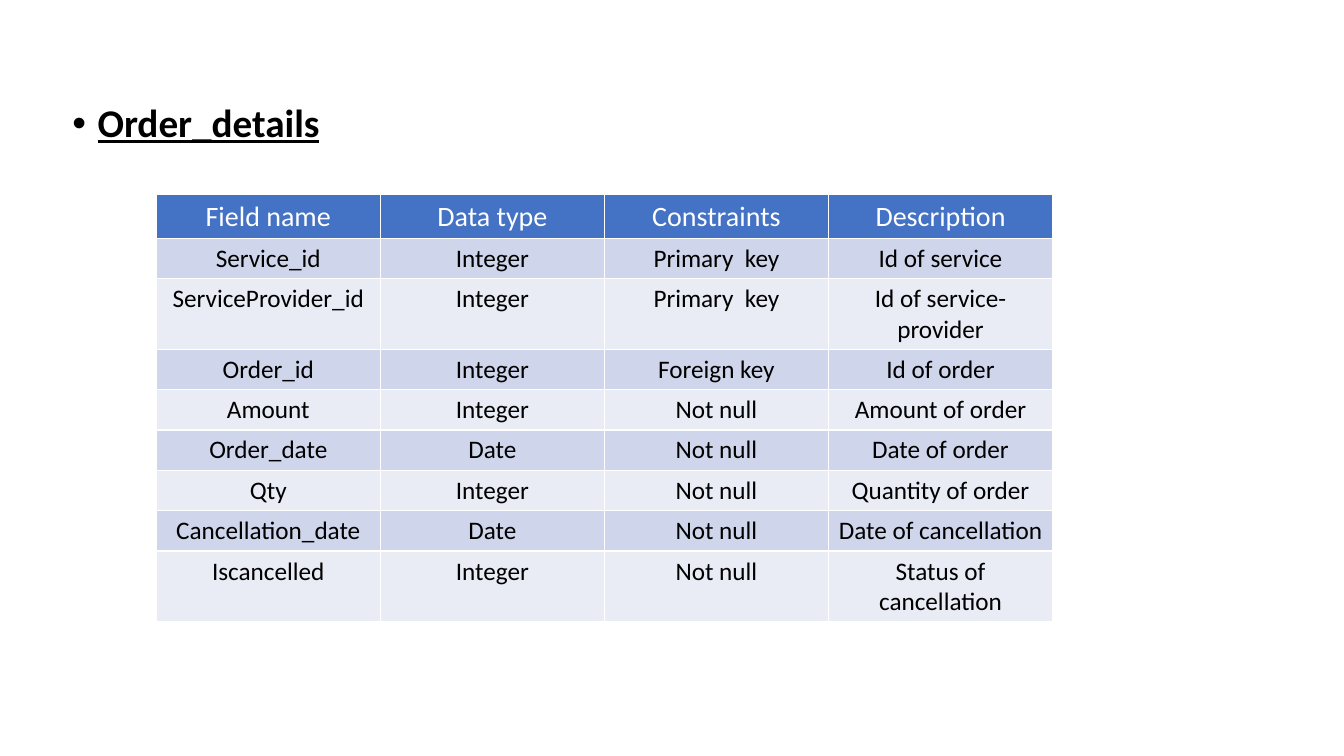
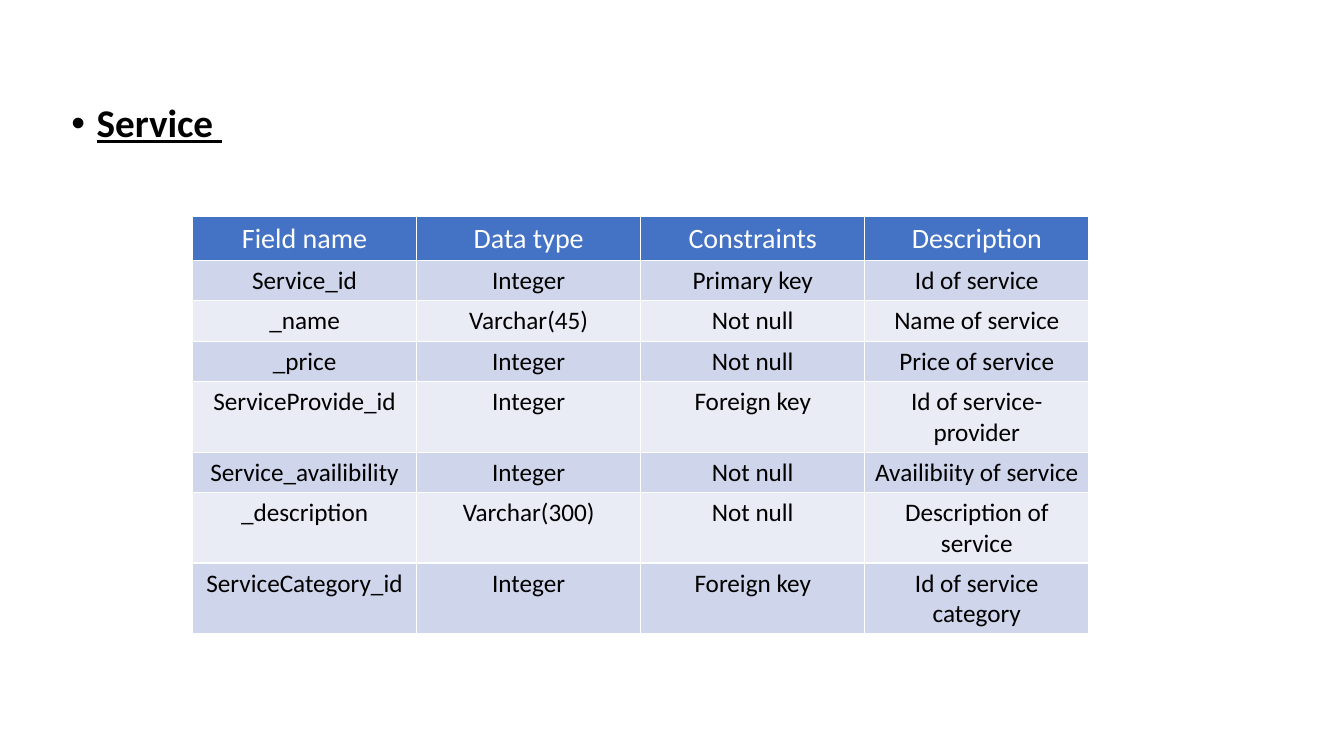
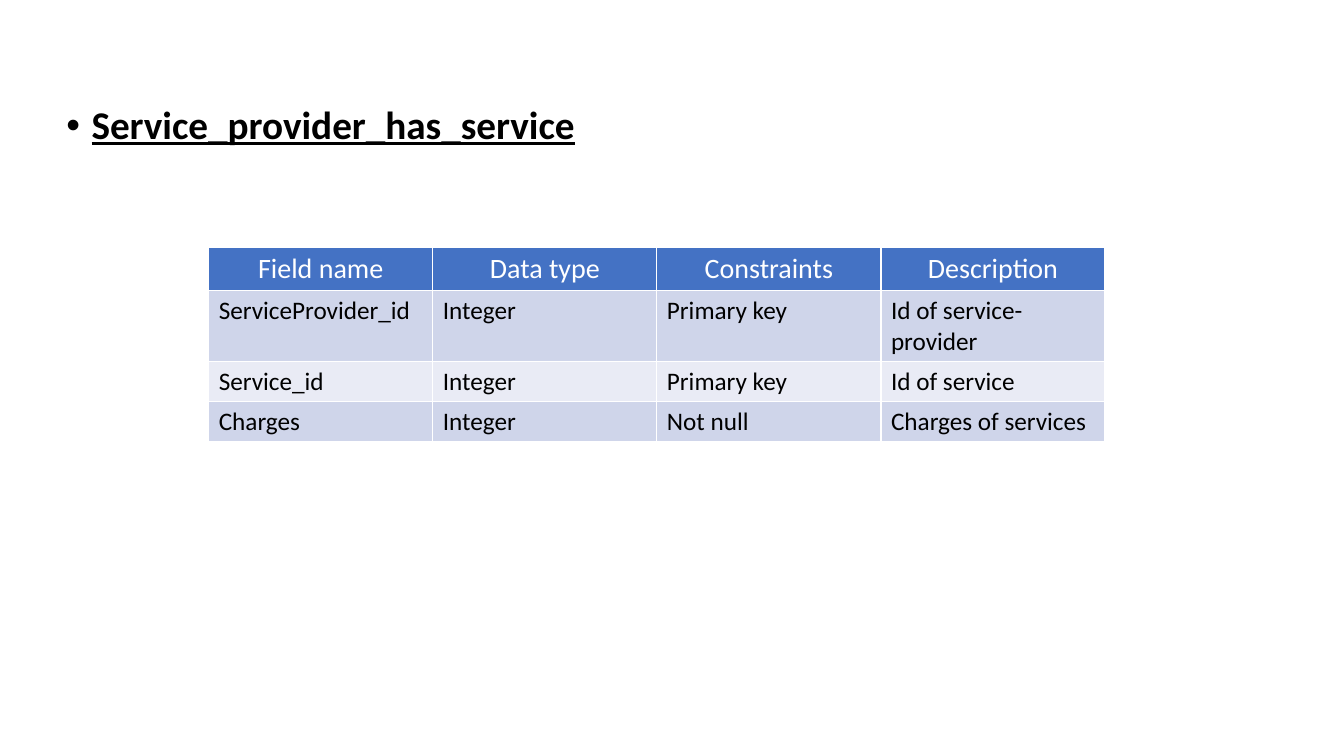
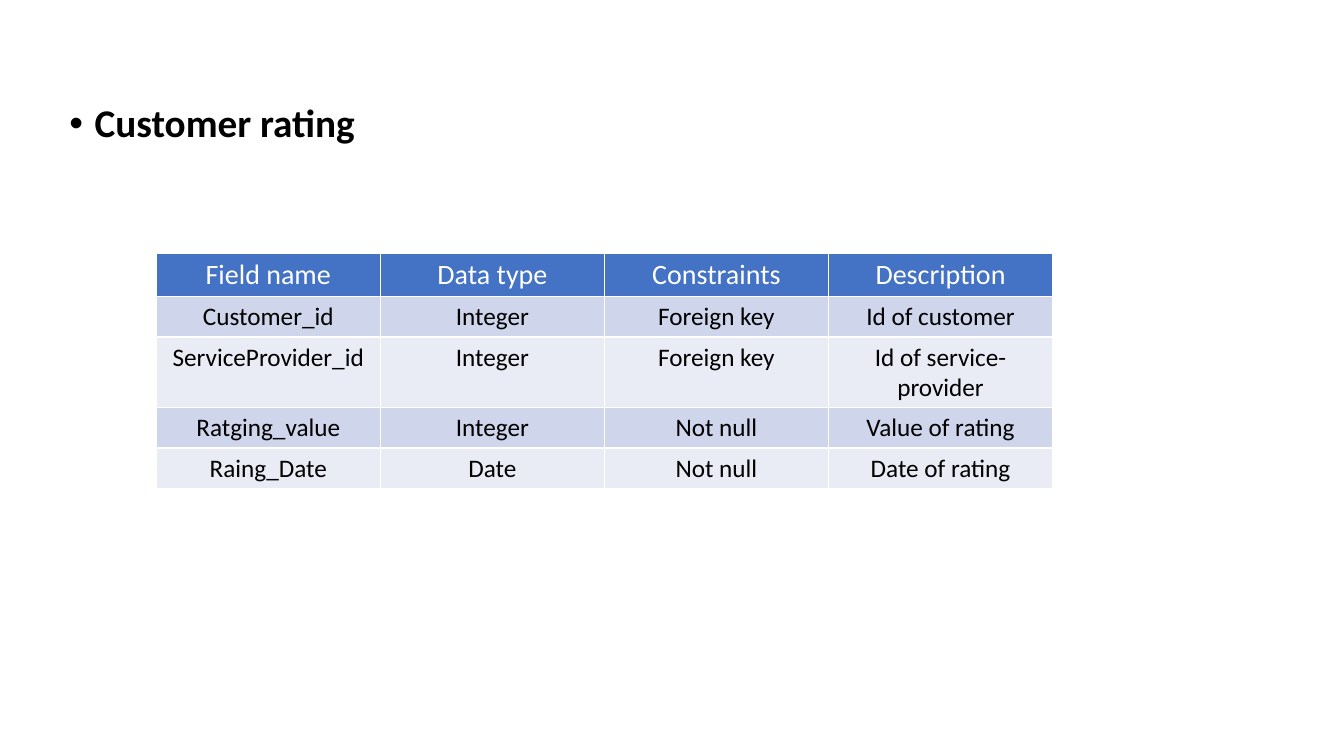
"""Build four data dictionary slides, each with a bulleted heading and a field table."""
from lxml import etree
from pptx import Presentation
from pptx.dml.color import RGBColor
from pptx.enum import text
from pptx.oxml.ns import qn
from pptx.util import Inches, Pt

FONT = "Calibri"
BLACK = RGBColor(0x00, 0x00, 0x00)
WHITE = RGBColor(0xFF, 0xFF, 0xFF)
HEADER_BLUE = RGBColor(0x44, 0x72, 0xC4)
BANDS = (RGBColor(0xCF, 0xD5, 0xEA), RGBColor(0xE9, 0xEB, 0xF5))

CENTER, LEFT = text.PP_ALIGN.CENTER, text.PP_ALIGN.LEFT
HEADING_SIZE = (Inches(11.5), Inches(0.6))
BULLET_INDENT = Inches(0.25)
COLUMN_WIDTH = Inches(8.89 / 4)
ROW_HEIGHT = Inches(0.4)
GRID_WIDTH = Pt(1)

COLUMNS = ("Field name", "Data type", "Constraints", "Description")

ENTITIES = [
    {
        "heading": "Order_details", "heading_at": (0.62, 0.98), "underline": True,
        "table_at": (1.55, 1.93), "align": CENTER,
        "fields": [
            ("Service_id", "Integer", "Primary  key", "Id of service"),
            ("ServiceProvider_id", "Integer", "Primary  key", "Id of service-provider"),
            ("Order_id", "Integer", "Foreign key", "Id of order"),
            ("Amount", "Integer", "Not null", "Amount of order"),
            ("Order_date", "Date", "Not null", "Date of order"),
            ("Qty", "Integer", "Not null", "Quantity of order"),
            ("Cancellation_date", "Date", "Not null", "Date of cancellation"),
            ("Iscancelled", "Integer", "Not null", "Status of cancellation"),
        ],
    },
    {
        "heading": "Service ", "heading_at": (0.61, 0.98), "underline": True,
        "table_at": (1.91, 2.15), "align": CENTER,
        "fields": [
            ("Service_id", "Integer", "Primary key", "Id of service"),
            ("_name", "Varchar(45)", "Not null", "Name of service"),
            ("_price", "Integer", "Not null", "Price of service"),
            ("ServiceProvide_id", "Integer", "Foreign key", "Id of service-provider"),
            ("Service_availibility", "Integer", "Not null", "Availibiity of service"),
            ("_description", "Varchar(300)", "Not null", "Description of service"),
            ("ServiceCategory_id", "Integer", "Foreign key", "Id of service category"),
        ],
    },
    {
        "heading": "Service_provider_has_service", "heading_at": (0.56, 1), "underline": True,
        "table_at": (2.07, 2.45), "align": LEFT,
        "fields": [
            ("ServiceProvider_id", "Integer", "Primary key", "Id of service-provider"),
            ("Service_id", "Integer", "Primary key", "Id of service"),
            ("Charges", "Integer", "Not null", "Charges of services"),
        ],
    },
    {
        "heading": "Customer rating", "heading_at": (0.59, 0.98), "underline": False,
        "table_at": (1.55, 2.51), "align": CENTER,
        "fields": [
            ("Customer_id", "Integer", "Foreign key", "Id of customer"),
            ("ServiceProvider_id", "Integer", "Foreign key", "Id of service-provider"),
            ("Ratging_value", "Integer", "Not null", "Value of rating"),
            ("Raing_Date", "Date", "Not null", "Date of rating"),
        ],
    },
]


def style_runs(paragraph, size, color, bold=False, underline=False):
    for run in paragraph.runs:
        run.font.name = FONT
        run.font.size = Pt(size)
        run.font.color.rgb = color
        run.font.bold = bold
        run.font.underline = underline


def add_heading(slide, entity):
    left, top = map(Inches, entity["heading_at"])
    frame = slide.shapes.add_textbox(left, top, *HEADING_SIZE).text_frame
    frame.word_wrap = True
    heading = frame.paragraphs[0]
    heading.text = entity["heading"]
    heading.line_spacing = 0.9
    properties = heading._p.get_or_add_pPr()
    properties.set("marL", str(BULLET_INDENT))
    properties.set("indent", str(-BULLET_INDENT))
    etree.SubElement(properties, qn("a:buFont"), typeface="Arial")
    etree.SubElement(properties, qn("a:buChar"), char="•")
    style_runs(heading, 28, BLACK, bold=True, underline=entity["underline"])


def add_grid_lines(cell):
    properties = cell._tc.get_or_add_tcPr()
    for side in ("a:lnL", "a:lnR", "a:lnT", "a:lnB"):
        line = etree.SubElement(properties, qn(side), w=str(GRID_WIDTH))
        fill = etree.SubElement(line, qn("a:solidFill"))
        etree.SubElement(fill, qn("a:srgbClr"), val=str(WHITE))


def fill_cell(cell, words, align, size, color, background):
    add_grid_lines(cell)
    cell.fill.solid()
    cell.fill.fore_color.rgb = background
    cell.text_frame.text = words
    paragraph = cell.text_frame.paragraphs[0]
    paragraph.alignment = align
    style_runs(paragraph, size, color)


def add_field_table(slide, entity):
    rows = [COLUMNS, *entity["fields"]]
    left, top = map(Inches, entity["table_at"])
    table = slide.shapes.add_table(
        len(rows), len(COLUMNS), left, top,
        COLUMN_WIDTH * len(COLUMNS), ROW_HEIGHT * len(rows)).table
    for column in table.columns:
        column.width = COLUMN_WIDTH
    for r, row in enumerate(rows):
        table.rows[r].height = ROW_HEIGHT
        if r == 0:
            style = (CENTER, 20, WHITE, HEADER_BLUE)
        else:
            style = (entity["align"], 18, BLACK, BANDS[(r - 1) % 2])
        for c, words in enumerate(row):
            fill_cell(table.cell(r, c), words, *style)


def main():
    deck = Presentation()
    deck.slide_width, deck.slide_height = Inches(13.33), Inches(7.5)
    for entity in ENTITIES:
        slide = deck.slides.add_slide(deck.slide_layouts[6])
        add_heading(slide, entity)
        add_field_table(slide, entity)
    deck.save("out.pptx")


if __name__ == "__main__":
    main()
